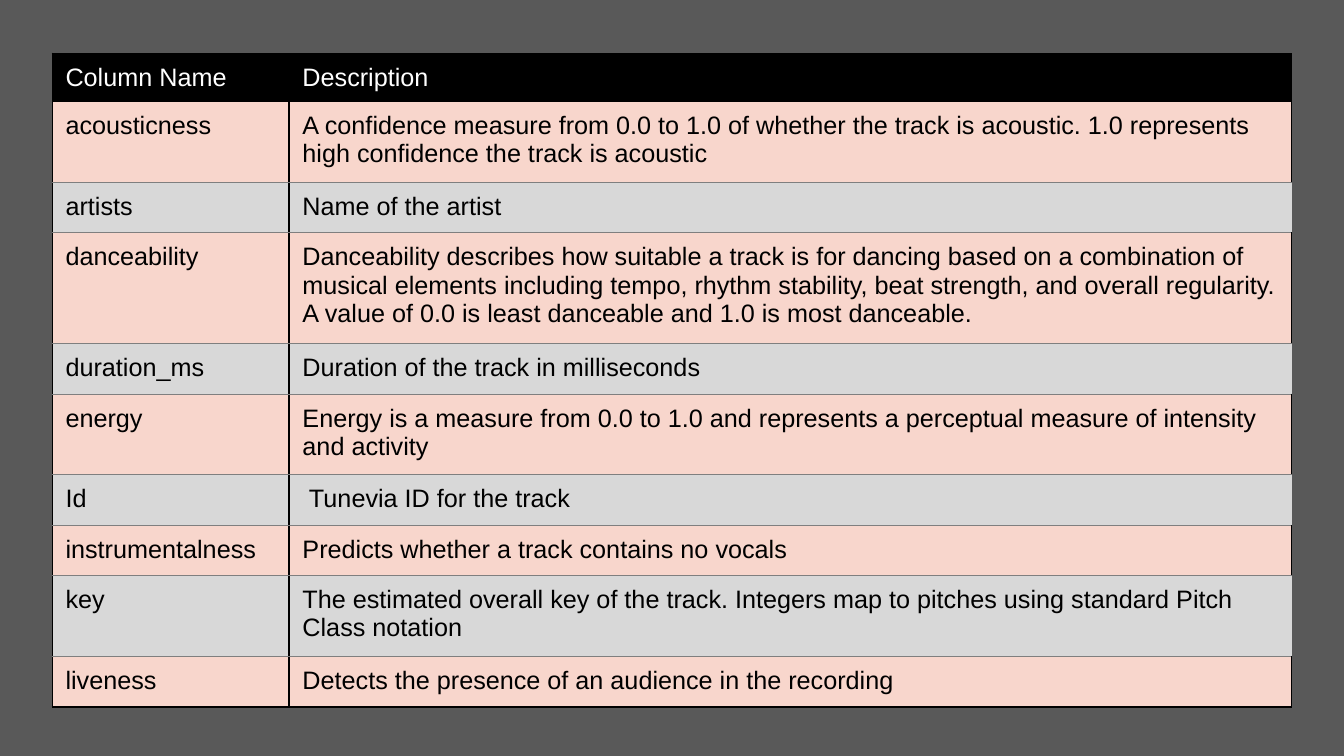
from dataclasses import dataclass

from pptx import Presentation
from pptx.dml.color import RGBColor
from pptx.enum.shapes import MSO_SHAPE
from pptx.enum.text import MSO_ANCHOR
from pptx.oxml.xmlchemy import OxmlElement
from pptx.util import Inches, Pt


@dataclass(frozen=True)
class Theme:
    """Colours, font and sizes of the slide."""
    backdrop: str = "595959"
    panel: str = "FFFFFF"
    header: str = "000000"
    header_text: str = "FFFFFF"
    body_text: str = "000000"
    pink: str = "F8D6CC"
    grey: str = "D8D8D8"
    font: str = "Arial"
    text_size: float = 18


THEME = Theme()
FRAME = ("000000", 1.5)
RULE = ("7F7F7F", 0.75)
NO_STYLE = "{2D5ABB26-0587-4C30-8999-92F81FD0307C}"

COLUMN_WIDTHS = (2.35, 9.94)
HEADER_HEIGHT = 0.47
HEADINGS = ("Column Name", "Description")
FEATURES = (
    ("acousticness", "A confidence measure from 0.0 to 1.0 of whether the track is acoustic. "
     "1.0 represents high confidence the track is acoustic", 0.8),
    ("artists", "Name of the artist", 0.5),
    ("danceability", "Danceability describes how suitable a track is for dancing based on a "
     "combination of musical elements including tempo, rhythm stability, beat strength, and "
     "overall regularity. A value of 0.0 is least danceable and 1.0 is most danceable.", 1.1),
    ("duration_ms", "Duration of the track in milliseconds", 0.5),
    ("energy", "Energy is a measure from 0.0 to 1.0 and represents a perceptual measure of "
     "intensity and activity", 0.8),
    ("Id", " Tunevia ID for the track", 0.5),
    ("instrumentalness", "Predicts whether a track contains no vocals", 0.5),
    ("key", "The estimated overall key of the track. Integers map to pitches using standard "
     "Pitch Class notation", 0.8),
    ("liveness", "Detects the presence of an audience in the recording", 0.5),
)


def add_panel(slide, left, top, width, height, colour):
    """Place a plain filled rectangle in the given box."""
    panel = slide.shapes.add_shape(MSO_SHAPE.RECTANGLE, Inches(left), Inches(top),
                                   Inches(width), Inches(height))
    panel.shadow.inherit = False
    panel.fill.solid()
    panel.fill.fore_color.rgb = RGBColor.from_string(colour)
    panel.line.fill.background()


def set_borders(cell, borders):
    """Draw the given sides of a cell, in the order left, right, top, bottom."""
    properties = cell._tc.get_or_add_tcPr()
    sides = [side for side in "LRTB" if side in borders]
    for position, side in enumerate(sides):
        colour, points = borders[side]
        line = OxmlElement(f"a:ln{side}")
        line.set("w", str(Pt(points)))
        fill = OxmlElement("a:solidFill")
        shade = OxmlElement("a:srgbClr")
        shade.set("val", colour)
        fill.append(shade)
        line.append(fill)
        properties.insert(position, line)


def borders_for(row, column, last_row):
    """Return the border lines that belong to a cell's place in the table."""
    if row == 0:
        return {"L": FRAME, "T": FRAME} if column == 0 else {"T": FRAME}
    if row % 2 == 0:
        grey_row = {"L": FRAME, "T": RULE}
        return {**grey_row, "R": FRAME} if column == 0 else grey_row
    return {"L": FRAME, "R": FRAME, "B": FRAME if row == last_row else RULE}


def fill_cell(cell, text, fill, text_colour, borders):
    """Write and format one cell."""
    cell.text = text
    cell.margin_left = Inches(0.13)
    cell.margin_right = cell.margin_top = cell.margin_bottom = Inches(0.1)
    cell.fill.solid()
    cell.fill.fore_color.rgb = RGBColor.from_string(fill)
    font = cell.text_frame.paragraphs[0].font
    font.name = THEME.font
    font.size = Pt(THEME.text_size)
    font.color.rgb = RGBColor.from_string(text_colour)
    set_borders(cell, borders)


def add_feature_table(slide, left, top):
    """Place the table of track features with its corner at left, top."""
    rows = ((*HEADINGS, HEADER_HEIGHT), *FEATURES)
    frame = slide.shapes.add_table(len(rows), len(COLUMN_WIDTHS), Inches(left), Inches(top),
                                   Inches(sum(COLUMN_WIDTHS)),
                                   Inches(sum(row[-1] for row in rows)))
    table = frame.table
    table._tbl.tblPr.find("{*}tableStyleId").text = NO_STYLE
    for column, width in zip(table.columns, COLUMN_WIDTHS):
        column.width = Inches(width)
    for index, (*texts, height) in enumerate(rows):
        table.rows[index].height = Inches(height)
        is_header = index == 0
        band = THEME.pink if index % 2 else THEME.grey
        for column, text in enumerate(texts):
            cell = table.cell(index, column)
            fill_cell(cell, text, THEME.header if is_header else band,
                      THEME.header_text if is_header else THEME.body_text,
                      borders_for(index, column, len(rows) - 1))
            if is_header:
                cell.vertical_anchor = MSO_ANCHOR.MIDDLE


def main():
    """Build the slide and save it."""
    deck = Presentation()
    deck.slide_width, deck.slide_height = Inches(13.33), Inches(7.5)
    slide = deck.slides.add_slide(deck.slide_layouts[6])
    add_panel(slide, 0, 0, 13.33, 7.5, THEME.backdrop)
    add_panel(slide, 0.52, 0.53, 12.29, 6.45, THEME.panel)
    add_feature_table(slide, 0.52, 0.53)
    deck.save("out.pptx")


if __name__ == "__main__":
    main()
